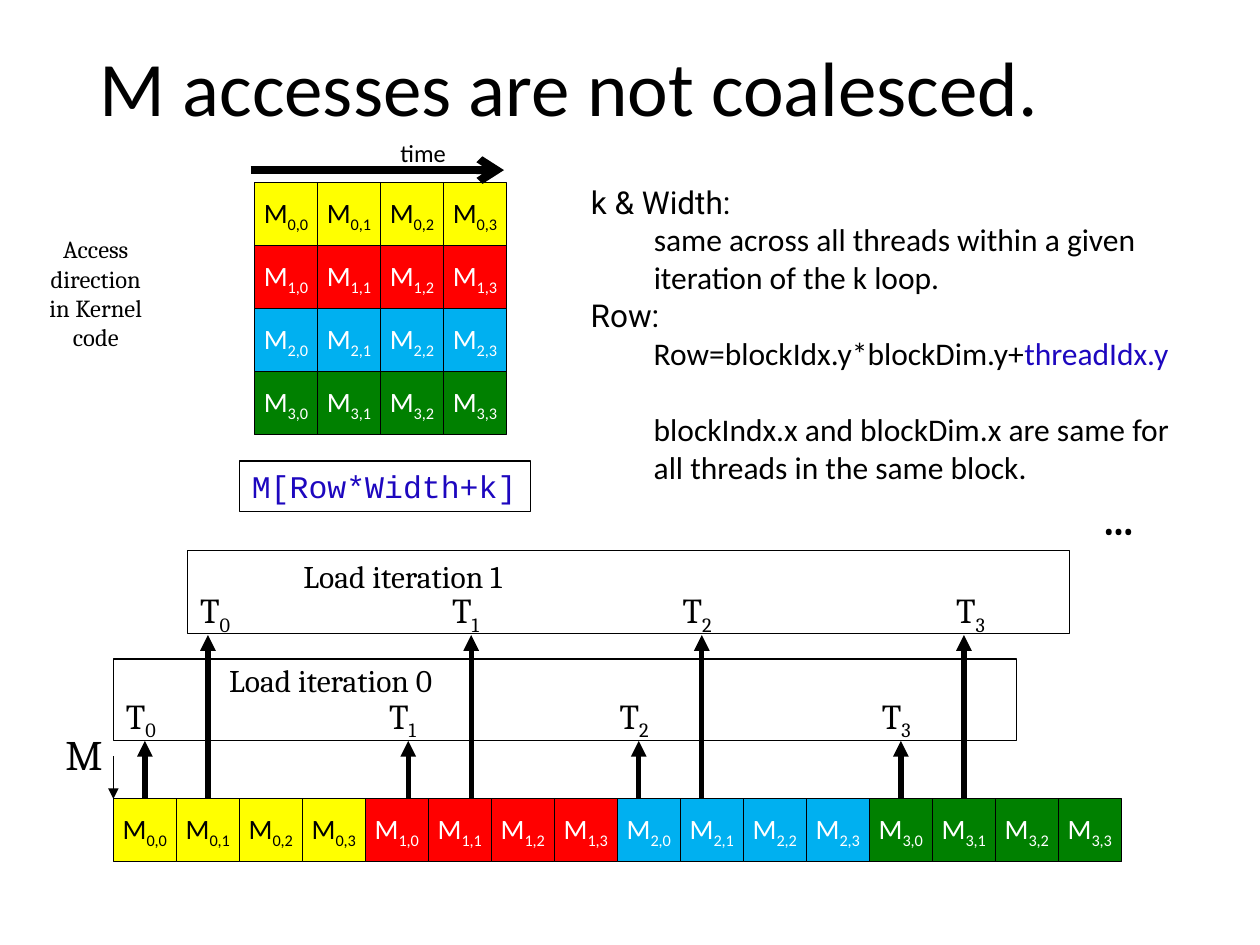
import pptx
import pptx.dml.color
import pptx.enum.shapes
import pptx.enum.text
import pptx.oxml.ns
import pptx.util
from lxml import etree

Inches = pptx.util.Inches
Pt = pptx.util.Pt
PP_ALIGN = pptx.enum.text.PP_ALIGN
MSO_ANCHOR = pptx.enum.text.MSO_ANCHOR
MSO_AUTO_SIZE = pptx.enum.text.MSO_AUTO_SIZE
RECTANGLE = pptx.enum.shapes.MSO_SHAPE.RECTANGLE
STRAIGHT = pptx.enum.shapes.MSO_CONNECTOR.STRAIGHT

COLORS = {
    "black": "000000",
    "white": "FFFFFF",
    "yellow": "FFFF00",
    "red": "FF0000",
    "cyan": "00B0F0",
    "green": "008000",
    "indigo": "1D07BF",
}
ROW_FILLS = ["yellow", "red", "cyan", "green"]
CELL = 0.5
ARRAY_LEFT, ARRAY_TOP = 0.9, 6.34

# Each load iteration: box, caption place, label tops and lefts, arrow ends
ITERATIONS = [
    {"box": (0.9, 5.23, 7.17, 0.65), "caption": (1.72, 5.2), "label_top": 5.46,
     "label_lefts": [0.9, 2.99, 4.82, 6.9], "arrow_end": 5.88},
    {"box": (1.49, 4.37, 7, 0.66), "caption": (2.31, 4.37), "label_top": 4.62,
     "label_lefts": [1.49, 3.49, 5.32, 7.49], "arrow_end": 5.04},
]
ARROW_XS = [1.15, 3.24, 5.07, 7.15]  # iteration 0; each later one is a cell on


def rgb(color):
    return pptx.dml.color.RGBColor.from_string(COLORS[color])


def style_font(font, size, name, color="black"):
    font.size = Pt(size)
    font.name = name
    font.color.rgb = rgb(color)


def write_subscripted(paragraph, base, subscript):
    paragraph.add_run().text = base
    run = paragraph.add_run()
    run.text = subscript
    run._r.get_or_add_rPr().set("baseline", "-25000")


def add_text(slide, left, top, width, height, text="", size=18,
             name="Cambria", wrap=False):
    """Add a text box and return its first paragraph."""
    box = slide.shapes.add_textbox(
        Inches(left), Inches(top), Inches(width), Inches(height))
    box.text_frame.word_wrap = wrap
    box.text_frame.auto_size = MSO_AUTO_SIZE.SHAPE_TO_FIT_TEXT
    paragraph = box.text_frame.paragraphs[0]
    if text:
        paragraph.add_run().text = text
    style_font(paragraph.font, size, name)
    return paragraph


def add_box(slide, left, top, width, height, fill=None):
    shape = slide.shapes.add_shape(
        RECTANGLE, Inches(left), Inches(top), Inches(width), Inches(height))
    shape.shadow.inherit = False
    if fill:
        shape.fill.solid()
        shape.fill.fore_color.rgb = rgb(fill)
    else:
        shape.fill.background()
    shape.line.color.rgb = rgb("black")
    shape.line.width = Pt(0.75)
    return shape


def add_cell(slide, left, top, row, column):
    cell = add_box(slide, left, top, CELL, CELL, ROW_FILLS[row])
    cell.text_frame.word_wrap = False
    cell.text_frame.vertical_anchor = MSO_ANCHOR.MIDDLE
    paragraph = cell.text_frame.paragraphs[0]
    paragraph.alignment = PP_ALIGN.CENTER
    write_subscripted(paragraph, "M", f"{row},{column}")
    style_font(paragraph.font, 16, "Calibri", "black" if row == 0 else "white")
    return cell


def add_arrow(slide, start, end, width, head="triangle"):
    arrow = slide.shapes.add_connector(
        STRAIGHT, *(Inches(length) for length in (*start, *end)))
    arrow.line.color.rgb = rgb("black")
    arrow.line.width = Pt(width)
    qn = pptx.oxml.ns.qn
    etree.SubElement(arrow.line._get_or_add_ln(), qn("a:tailEnd"), type=head)
    etree.SubElement(arrow._element.spPr, qn("a:effectLst"))
    return arrow


def add_indented(paragraph, runs, space_before=0):
    """Fill an indented paragraph with (text, color) runs."""
    paragraph.level = 1
    properties = paragraph._p.get_or_add_pPr()
    properties.set("marL", str(Inches(0.5)))
    properties.set("indent", "0")
    if space_before:
        paragraph.space_before = Pt(space_before)
    for text, color in runs:
        run = paragraph.add_run()
        run.text = text
        style_font(run.font, 18, "Calibri", color)


def add_explanation(slide, place, heading, details):
    first = add_text(slide, *place, heading, name="Roboto", wrap=True)
    frame = first._parent
    for runs, space_before in details:
        add_indented(frame.add_paragraph(), runs, space_before)


def add_title(slide):
    title = slide.shapes.title
    title.left, title.top = Inches(0.69), Inches(0)
    title.width, title.height = Inches(8.62), Inches(1.45)
    title.text_frame.text = "M accesses are not coalesced."
    title.text_frame.vertical_anchor = MSO_ANCHOR.MIDDLE
    paragraph = title.text_frame.paragraphs[0]
    paragraph.alignment = PP_ALIGN.LEFT
    paragraph.line_spacing = 0.9
    style_font(paragraph.font, 44, "Calibri")


def add_matrix(slide):
    for row in range(4):
        for column in range(4):
            add_cell(slide, 2.02 + column * CELL, 1.45 + row * CELL, row, column)
    add_arrow(slide, (1.99, 1.35), (4, 1.35), 4.5, "arrow")
    add_text(slide, 3.08, 1.05, 0.69, 0.34, "time", 14, "Calibri", wrap=True)
    access = add_text(slide, 0.27, 1.81, 0.98, 1.28,
                      "Access direction in Kernel code", 14, wrap=True)
    access.alignment = PP_ALIGN.CENTER

    # Index expression
    formula = add_box(slide, 1.9, 3.66, 2.31, 0.4)
    formula.text_frame.vertical_anchor = MSO_ANCHOR.TOP
    paragraph = formula.text_frame.paragraphs[0]
    paragraph.alignment = PP_ALIGN.LEFT
    paragraph.add_run().text = "M[Row*Width+k]"
    style_font(paragraph.font, 18, "Courier New", "indigo")


def add_array(slide):
    add_text(slide, 0.42, 5.73, 0.52, 0.5, "M", 24)
    add_arrow(slide, (ARRAY_LEFT, 6), (ARRAY_LEFT, ARRAY_TOP), 0.75)
    return [add_cell(slide, ARRAY_LEFT + index * CELL, ARRAY_TOP, *divmod(index, 4))
            for index in range(16)]


def add_iteration(slide, number, iteration, cells):
    add_box(slide, *iteration["box"])
    add_text(slide, *iteration["caption"], 1.81, 0.4, f"Load iteration {number}")
    for thread, left in enumerate(iteration["label_lefts"]):
        label = add_text(slide, left, iteration["label_top"], 0.47, 0.44, size=20)
        write_subscripted(label, "T", str(thread))
        x = ARROW_XS[thread] + number * CELL
        arrow = add_arrow(slide, (x, ARRAY_TOP), (x, iteration["arrow_end"]), 3)
        cell = cells[4 * thread + number]
        # Join only the arrows that start at the middle of a cell
        if abs(cell.left + cell.width / 2 - Inches(x)) < Inches(0.01):
            arrow.begin_connect(cell, 0)


def main():
    presentation = pptx.Presentation()
    presentation.slide_width = Inches(10)
    presentation.slide_height = Inches(7.5)
    slide = presentation.slides.add_slide(presentation.slide_layouts[5])

    add_title(slide)
    add_matrix(slide)

    # Index terms explained
    add_explanation(slide, (4.59, 1.4, 4.72, 1.01), "k & Width:", [
        ([("same across all threads within a given iteration of the k loop.",
           "black")], 0),
    ])
    add_explanation(slide, (4.59, 2.3, 5.07, 1.62), "Row:", [
        ([("Row=blockIdx.y*blockDim.y+", "black"), ("threadIdx.y", "indigo")], 0),
        ([("blockIndx.x and blockDim.x are same for all threads in the same block.",
           "black")], 22),
    ])

    # Linear array and the loads from it
    cells = add_array(slide)
    for number, iteration in enumerate(ITERATIONS):
        add_iteration(slide, number, iteration, cells)
    add_text(slide, 8.65, 3.87, 0.53, 0.5, "…", 24).font.bold = True

    presentation.save("out.pptx")


if __name__ == "__main__":
    main()
